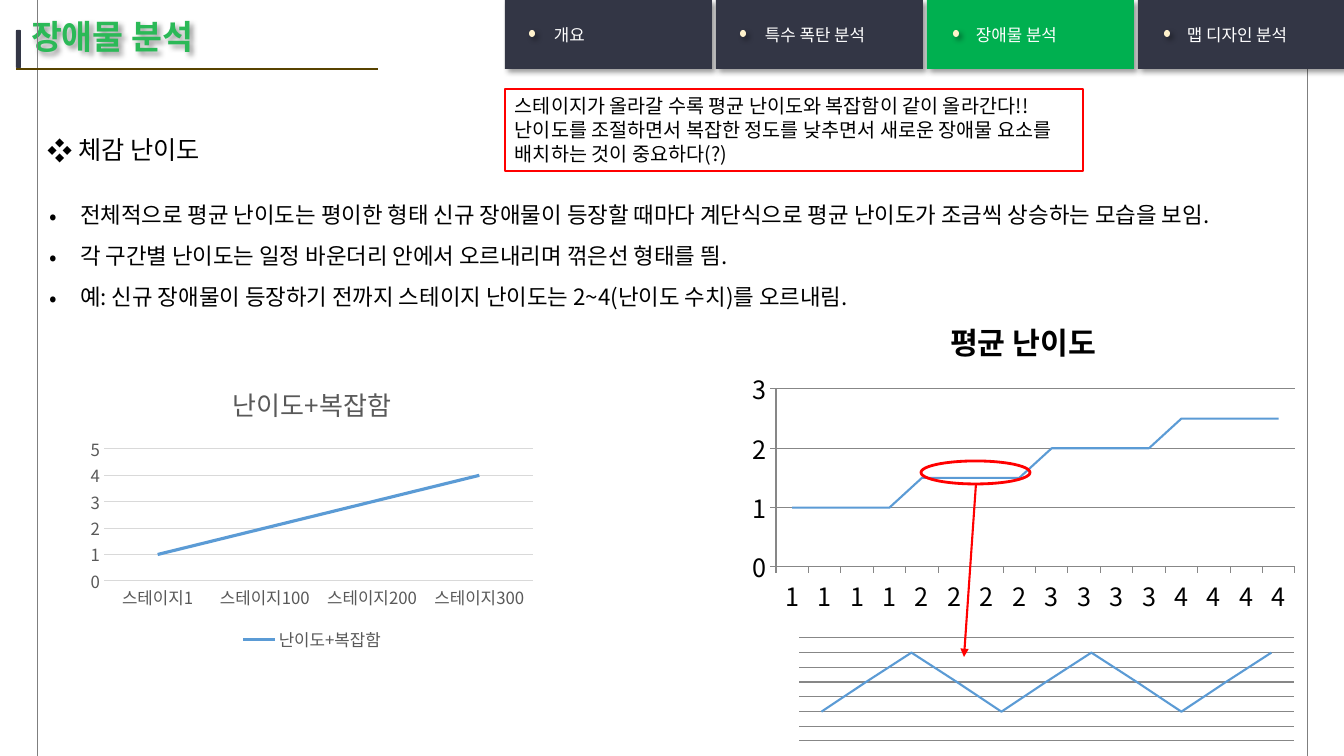
from lxml import etree
from pptx import Presentation
from pptx import util as u
from pptx.chart.data import CategoryChartData
from pptx.dml.color import RGBColor
from pptx.enum import chart as charts, shapes, text
from pptx.oxml import parse_xml
from pptx.oxml.ns import nsdecls, qn

PX = 914400 / 100.8  # EMU per px
FONT = "Noto Sans CJK KR"
NAVY, GREEN, TITLE_GREEN, CREAM = "333645", "00B050", "2BB957", "FFF2CC"
BLUE, RED, BLACK, WHITE = "5B9BD5", "FF0000", "000000", "FFFFFF"
GUIDE, AXIS, GRID, LABEL = "7F7F7F", "878787", "D9D9D9", "595959"


def px(*values):
    return [round(value * PX) for value in values]


def color(value):
    return RGBColor.from_string(value)


def set_font(font, size, fill, bold=False):
    font.size, font.bold, font.name = u.Pt(size), bold, FONT
    font.color.rgb = color(fill)
    latin = font._rPr.find(qn("a:latin"))
    latin.addnext(parse_xml(f'<a:ea {nsdecls("a")} typeface="{FONT}"/>'))


def set_line(line, fill, width):
    line.color.rgb = color(fill)
    line.width = u.Pt(width)


class SlideBuilder:
    def __init__(self, slide):
        self.slide = slide

    def shadow(self, shape):
        shape.shadow.inherit = False
        effects = shape._element.spPr.find(qn("a:effectLst"))
        effects.append(parse_xml(
            f'<a:outerShdw {nsdecls("a")} blurRad="50800" dist="38100" dir="2700000" algn="tl" rotWithShape="0">'
            '<a:srgbClr val="000000"><a:alpha val="40000"/></a:srgbClr></a:outerShdw>'))

    def shape(self, kind, box, fill=None, line=None, width=1.5, shadow=False):
        shape = self.slide.shapes.add_shape(kind, *px(*box))
        shape.shadow.inherit = False
        if fill:
            shape.fill.solid()
            shape.fill.fore_color.rgb = color(fill)
        else:
            shape.fill.background()
        if line:
            set_line(shape.line, line, width)
        else:
            shape.line.fill.background()
        if shadow:
            self.shadow(shape)
        return shape

    def line(self, start, end, fill, width, arrow=False):
        connector = self.slide.shapes.add_connector(
            shapes.MSO_CONNECTOR.STRAIGHT, *px(*start, *end))
        set_line(connector.line, fill, width)
        if arrow:
            etree.SubElement(connector.line._get_or_add_ln(), qn("a:tailEnd"), type="triangle")
        etree.SubElement(connector._element.spPr, qn("a:effectLst"))

    def fill_text(self, shape, lines, size, fill, spacing=None, bullet=None, bold=False,
                  anchor=text.MSO_ANCHOR.TOP):
        frame = shape.text_frame
        frame.text = "\n".join(lines)
        frame.word_wrap = True
        frame.auto_size = text.MSO_AUTO_SIZE.NONE
        frame.vertical_anchor = anchor
        for paragraph in frame.paragraphs:
            paragraph.alignment = text.PP_ALIGN.LEFT
            paragraph.space_before = u.Pt(0)
            if spacing:
                paragraph.line_spacing = u.Pt(spacing)
            if bullet:
                properties = paragraph._p.get_or_add_pPr()
                indent, = px(31)
                properties.set("marL", str(indent))
                properties.set("indent", str(-indent))
                etree.SubElement(properties, qn("a:buFont"), typeface=FONT)
                etree.SubElement(properties, qn("a:buChar"), char=bullet)
            set_font(paragraph.font, size, fill, bold)

    def placeholder(self, index, box, *args, **options):
        shape = self.slide.placeholders[index]
        shape.left, shape.top, shape.width, shape.height = px(*box)
        self.fill_text(shape, *args, **options)
        return shape

    def chart(self, box, plot_box, categories, name, values, maximum, step, width=1.5,
              size=18, fill=BLACK, grid=AXIS, title=None, title_size=18, title_bold=False,
              ticks=charts.XL_TICK_MARK.NONE, legend=False, axes=True, value_line=True):
        data = CategoryChartData()
        data.categories = categories
        data.add_series(name, values)
        chart = self.slide.shapes.add_chart(
            charts.XL_CHART_TYPE.LINE, *px(*box), data).chart
        set_font(chart.font, size, fill)
        chart.has_title = bool(title)
        if title:
            chart.chart_title.text_frame.text = title
            set_font(chart.chart_title.text_frame.paragraphs[0].font, title_size, fill, title_bold)
        chart.has_legend = legend
        if legend:
            chart.legend.position = charts.XL_LEGEND_POSITION.BOTTOM
            chart.legend.include_in_layout = False
            set_font(chart.legend.font, size, fill)
        for axis in (chart.category_axis, chart.value_axis):
            axis.visible = axes
            axis.major_tick_mark = ticks
            axis.minor_tick_mark = charts.XL_TICK_MARK.NONE
            set_font(axis.tick_labels.font, size, fill)
            set_line(axis.format.line, grid, 0.75)
        axis = chart.value_axis
        axis.minimum_scale, axis.maximum_scale, axis.major_unit = 0, maximum, step
        axis.has_major_gridlines = True
        set_line(axis.major_gridlines.format.line, grid, 0.75)
        if not value_line:
            axis.format.line.fill.background()
        plot = chart.plots[0]
        plot.vary_by_categories = False
        series = plot.series[0]
        series.smooth = False
        series.marker.style = charts.XL_MARKER_STYLE.NONE
        set_line(series.format.line, BLUE, width)
        self.place_plot(chart, box, plot_box)

    def place_plot(self, chart, box, plot_box):
        left, top, width, height = box
        x, y, w, h = plot_box
        area = chart._chartSpace.chart.plotArea
        for old in area.findall(qn("c:layout")):
            area.remove(old)
        fractions = {"x": (x - left) / width, "y": (y - top) / height, "w": w / width, "h": h / height}
        parts = "".join(f'<c:{key} val="{value:.4f}"/>' for key, value in fractions.items())
        area.insert(0, parse_xml(
            f'<c:layout {nsdecls("c")}><c:manualLayout><c:layoutTarget val="inner"/>'
            f'<c:xMode val="edge"/><c:yMode val="edge"/>{parts}</c:manualLayout></c:layout>'))


def main():
    presentation = Presentation()
    presentation.slide_width, presentation.slide_height = px(1344, 756)
    slide = presentation.slides.add_slide(presentation.slide_layouts[3])
    builder = SlideBuilder(slide)
    kinds = shapes.MSO_SHAPE

    # Frame lines and title
    for x in (37, 1307):
        builder.line((x, 0), (x, 756), GUIDE, 0.5)
    builder.shape(kinds.ROUNDED_RECTANGLE, (16, 30, 5, 38), NAVY)
    builder.line((16, 69), (378, 69), "584300", 2)
    title = builder.placeholder(0, (21, 14, 479, 55), ["장애물 분석"], 24, TITLE_GREEN,
                                spacing=26.4, bold=True)
    builder.shadow(title)

    # Navigation tabs
    tabs = [("개요", 24), ("특수 폭탄 분석", 24), ("장애물 분석", 26), ("맵 디자인 분석", 26)]
    for index, (label, dot_offset) in enumerate(tabs):
        left = 505 + 211 * index
        fill = GREEN if index == 2 else NAVY
        tab = builder.shape(kinds.RECTANGLE, (left, 0, 207, 69), fill, shadow=True)
        builder.fill_text(tab, [label], 12, WHITE, anchor=text.MSO_ANCHOR.MIDDLE)
        tab.text_frame.margin_left, = px(49)
        builder.shape(kinds.OVAL, (left + dot_offset, 30, 6, 7), CREAM, shadow=True)

    # Heading and bullet list
    builder.placeholder(1, (37, 113, 678, 50), ["체감 난이도"], 18, BLACK, spacing=33, bullet="❖")
    builder.placeholder(2, (39, 182, 1268, 214), [
        "전체적으로 평균 난이도는 평이한 형태 신규 장애물이 등장할 때마다 계단식으로 평균 난이도가 조금씩 상승하는 모습을 보임.",
        "각 구간별 난이도는 일정 바운더리 안에서 오르내리며 꺾은선 형태를 띔.",
        "예: 신규 장애물이 등장하기 전까지 스테이지 난이도는 2~4(난이도 수치)를 오르내림.",
    ], 16, BLACK, spacing=29.3, bullet="•")

    # Average difficulty, with one step marked and detailed below
    stages = [stage for stage in range(1, 5) for _ in range(4)]
    builder.chart((740, 298, 567, 322), (776, 389, 519, 178), [str(stage) for stage in stages],
                  "Series 1", [(stage + 1) / 2 for stage in stages], 3, 1,
                  title="평균 난이도", title_size=21.6, title_bold=True,
                  ticks=charts.XL_TICK_MARK.OUTSIDE)
    builder.shape(kinds.OVAL, (921, 461, 109, 23), line=RED, width=2)
    builder.chart((788, 637, 516, 107), (799, 638, 495, 103), ["1", "2", "3", "4"],
                  "Series 1", [33, 67, 100, 67] * 2 + [33, 67, 100], 116.69, 16.67, axes=False)
    builder.line((976, 484), (964, 657), RED, 1.5, arrow=True)

    # Difficulty and complexity
    builder.chart((81, 366, 462, 290), (104, 449, 429, 132),
                  [f"스테이지{stage}" for stage in (1, 100, 200, 300)],
                  "난이도+복잡함", [1, 2, 3, 4], 5, 1, width=2.25, size=12, fill=LABEL, grid=GRID,
                  title="난이도+복잡함", title_size=18.6, legend=True, value_line=False)

    # Callout
    callout = builder.shape(kinds.RECTANGLE, (505, 89, 578, 82), line=RED)
    builder.fill_text(callout, [
        "스테이지가 올라갈 수록 평균 난이도와 복잡함이 같이 올라간다!!",
        "난이도를 조절하면서 복잡한 정도를 낮추면서 새로운 장애물 요소를 배치하는 것이 중요하다(?)",
    ], 14, BLACK, spacing=17)

    presentation.save("out.pptx")


if __name__ == "__main__":
    main()
